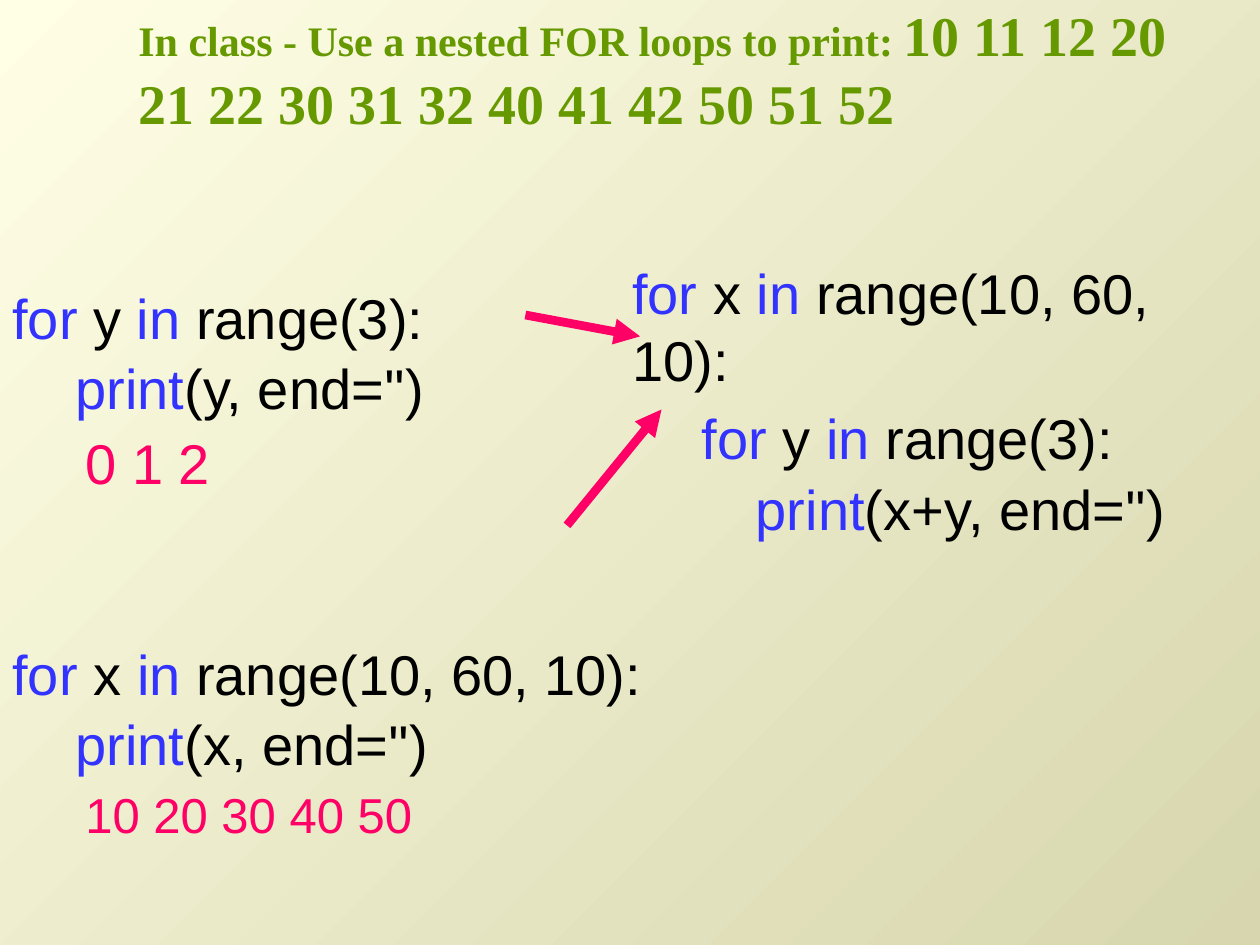
import dataclasses

import lxml.etree
import pptx
import pptx.dml.color
import pptx.enum.shapes
import pptx.enum.text
import pptx.oxml.ns
import pptx.util

Inches = pptx.util.Inches
Pt = pptx.util.Pt


@dataclasses.dataclass(frozen=True)
class Theme:
    light: str = "FFFFE6"
    dark: str = "D7D6AE"
    title: str = "669900"
    keyword: str = "3333FF"
    code: str = "000000"
    accent: str = "FF0066"
    title_font: str = "Times New Roman"
    body_font: str = "Arial"
    large: int = 32
    medium: int = 28
    small: int = 24
    arrow_width: int = 5


def rgb(value):
    return pptx.dml.color.RGBColor.from_string(value)


class SlideBuilder:
    def __init__(self, deck, theme):
        self.theme = theme
        self.page = deck.slides.add_slide(deck.slide_layouts[6])

    def background(self):
        fill = self.page.background.fill
        fill.gradient()
        fill.gradient_angle = 315
        for stop, color in zip(fill.gradient_stops, (self.theme.light, self.theme.dark)):
            stop.color.rgb = rgb(color)

    def text_frame(self, left, top, width, height, wrap=True):
        box = self.page.shapes.add_textbox(
            Inches(left), Inches(top), Inches(width), Inches(height))
        box.text_frame.word_wrap = wrap
        return box.text_frame

    def title(self, label, numbers):
        frame = self.text_frame(1, -0.5, 8.75, 2.08)
        frame.vertical_anchor = pptx.enum.text.MSO_ANCHOR.MIDDLE
        para = frame.paragraphs[0]
        para.font.name = self.theme.title_font
        para.font.bold = True
        para.font.color.rgb = rgb(self.theme.title)
        for text, size in ((label, self.theme.small), (numbers, self.theme.large)):
            span = para.add_run()
            span.text = text
            span.font.size = Pt(size)

    def code(self, left, top, width, height, lines):
        """Each line is (indent in inches, space before in points, spans);
        spans alternate between keyword and plain code."""
        frame = self.text_frame(left, top, width, height, wrap=False)
        for number, (indent, before, spans) in enumerate(lines):
            para = frame.add_paragraph() if number else frame.paragraphs[0]
            para.font.name = self.theme.body_font
            para.font.size = Pt(self.theme.large)
            para.space_before = Pt(before)
            para._p.get_or_add_pPr().set("marL", str(Inches(indent)))
            for position, text in enumerate(spans):
                span = para.add_run()
                span.text = text
                color = self.theme.code if position % 2 else self.theme.keyword
                span.font.color.rgb = rgb(color)

    def output(self, left, top, text, size):
        para = self.text_frame(left, top, 4, 0.6).paragraphs[0]
        para.text = text
        para.font.name = self.theme.body_font
        para.font.size = Pt(size)
        para.font.color.rgb = rgb(self.theme.accent)

    def arrow(self, start, end):
        line = self.page.shapes.add_connector(
            pptx.enum.shapes.MSO_CONNECTOR.STRAIGHT,
            *(Inches(value) for value in (*start, *end)))
        line.line.color.rgb = rgb(self.theme.accent)
        line.line.width = Pt(self.theme.arrow_width)
        qn = pptx.oxml.ns.qn
        head = lxml.etree.SubElement(line.line._get_or_add_ln(), qn("a:tailEnd"))
        head.set("type", "triangle")
        lxml.etree.SubElement(line._element.spPr, qn("a:effectLst"))


def main():
    deck = pptx.Presentation()
    deck.slide_width, deck.slide_height = Inches(10), Inches(7.5)
    theme = Theme()
    slide = SlideBuilder(deck, theme)
    loop_x = ("for", " x ", "in", " range(10, 60, 10):")
    loop_y = ("for", " y ", "in", " range(3):")

    slide.background()
    slide.title("In class - Use a nested FOR loops to print: ",
                "10 11 12 20 21 22 30 31 32 40 41 42 50 51 52")

    slide.code(0, 2.2, 5, 1.2, [
        (0, 0, loop_y), (0.5, 1.5, ("print", "(y, end='')"))])
    slide.output(0.58, 3.35, "0 1 2", theme.large)

    slide.code(0, 5.03, 5.42, 1.2, [
        (0, 0, loop_x), (0.5, 1.5, ("print", "(x, end='')"))])
    slide.output(0.58, 6.18, "10 20 30 40 50", theme.medium)

    slide.code(4.92, 2, 5.08, 1.8, [
        (0, 0, loop_x),
        (0.55, 6.5, loop_y),
        (0.98, 2, ("print", "(x+y, end='')"))])

    slide.arrow((4.5, 4.17), (5.25, 3.25))
    slide.arrow((4.17, 2.5), (5.08, 2.67))
    deck.save("out.pptx")


if __name__ == "__main__":
    main()
